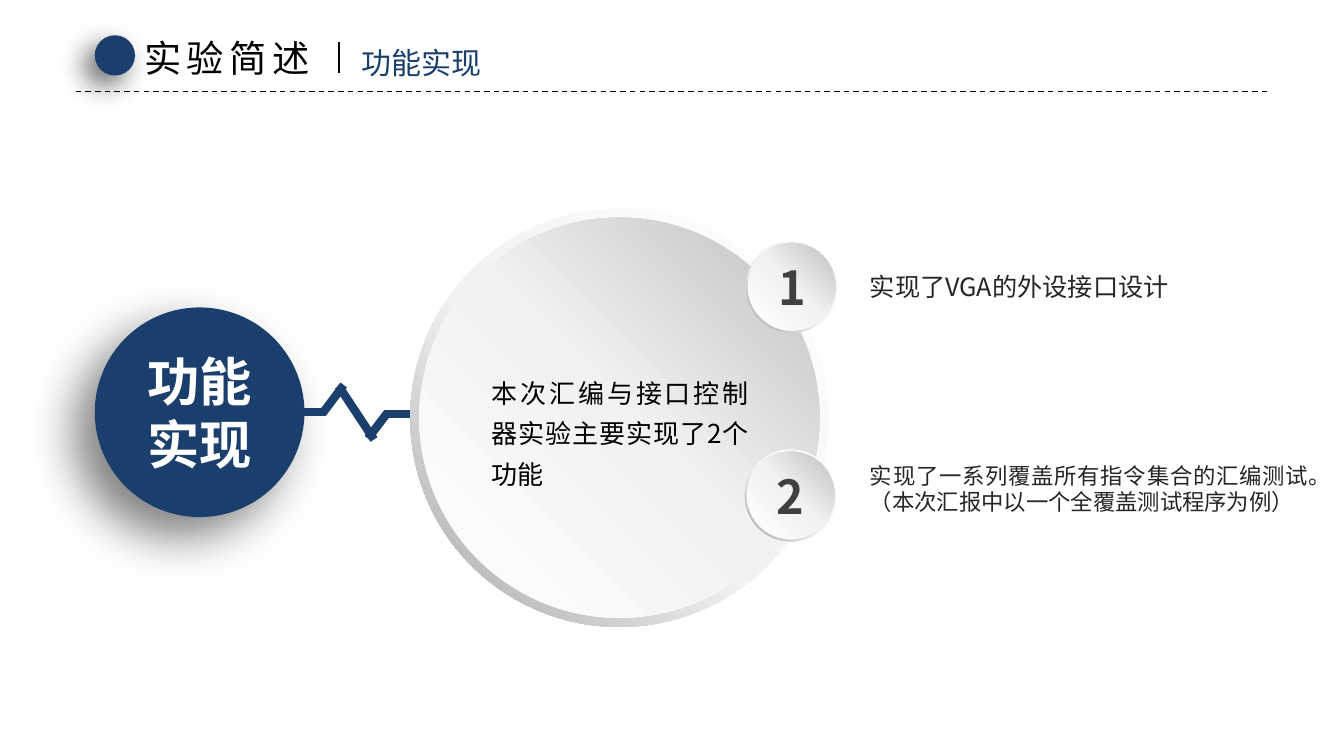
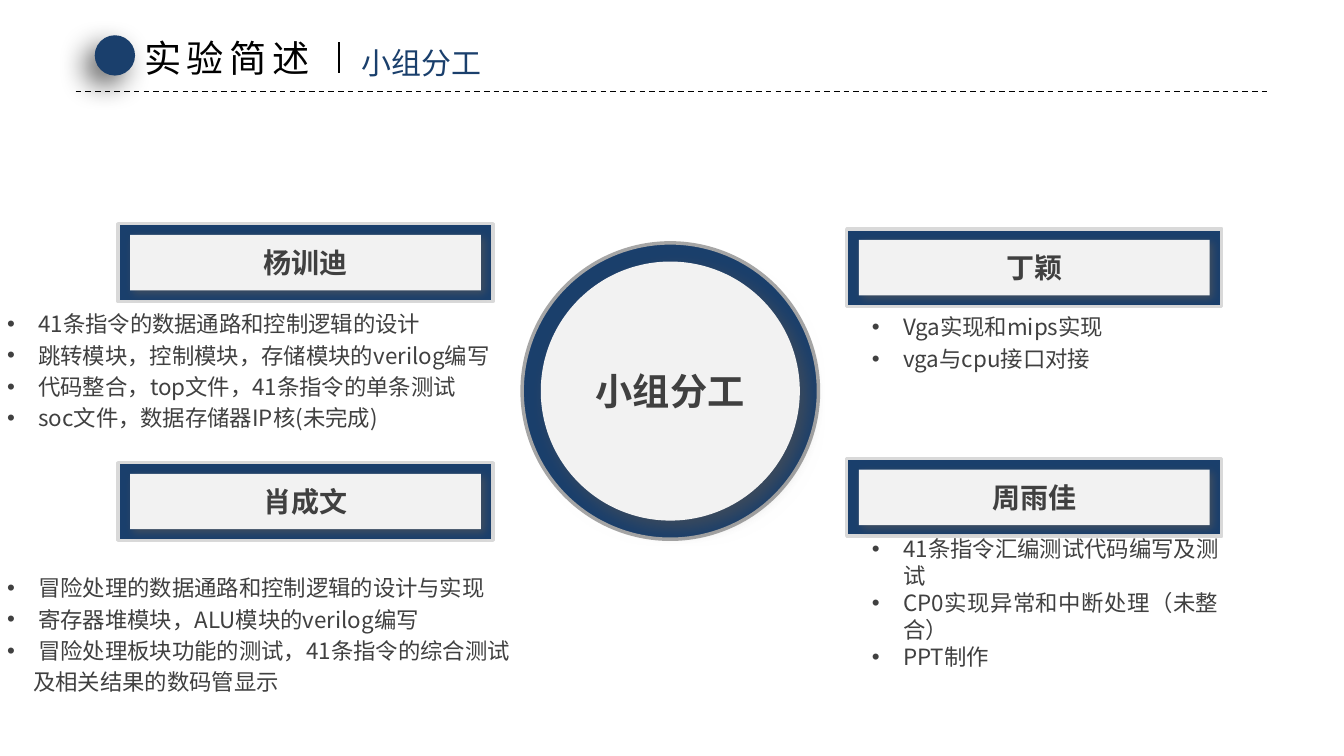
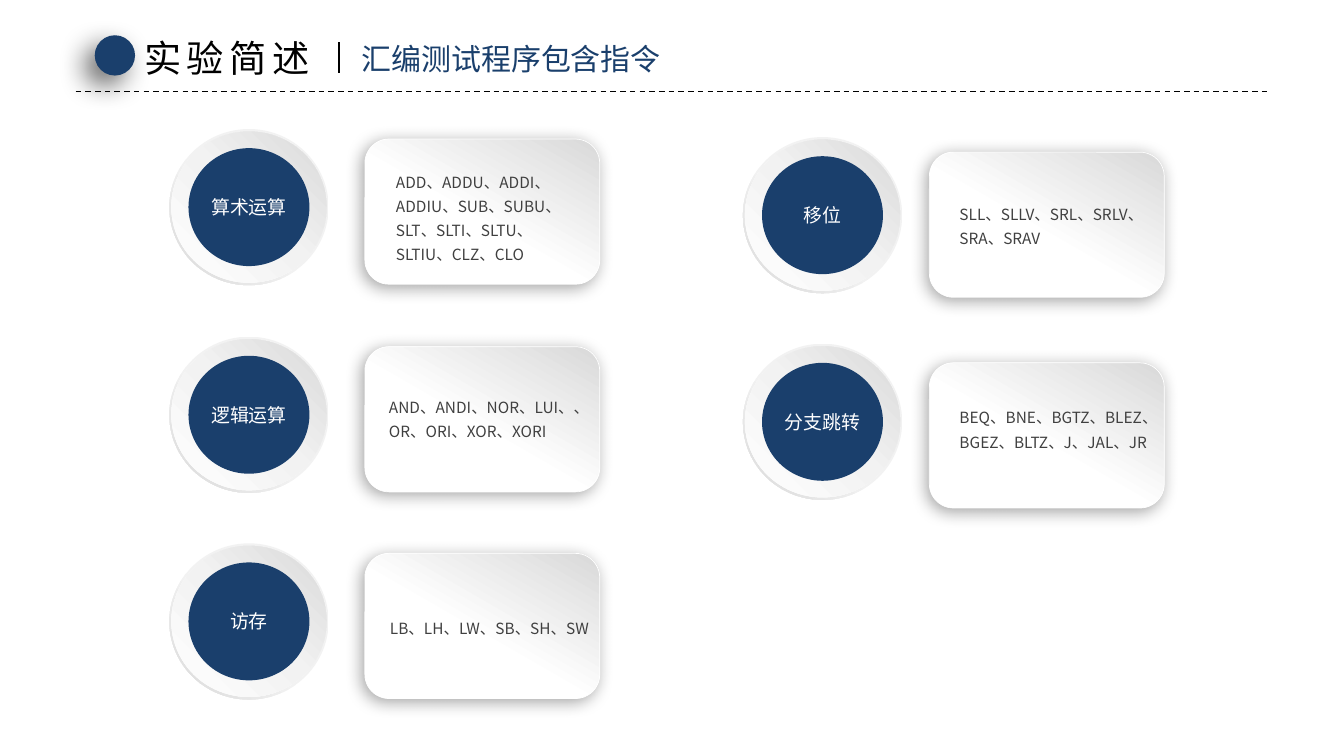
from dataclasses import dataclass

from lxml.etree import SubElement
from pptx import Presentation
from pptx.dml.color import RGBColor
from pptx.enum.dml import MSO_LINE
from pptx.enum.shapes import MSO_CONNECTOR, MSO_SHAPE
from pptx.enum.text import MSO_ANCHOR, MSO_AUTO_SIZE, PP_ALIGN
from pptx.oxml import parse_xml
from pptx.oxml.ns import nsdecls, qn
from pptx.util import Inches, Pt


@dataclass(frozen=True)
class Theme:
    font: str = "Noto Sans CJK SC"
    navy: str = "1A3F6C"
    black: str = "000000"
    white: str = "FFFFFF"
    ink: str = "262626"
    grey: str = "404040"
    pale: str = "F2F2F2"
    bar_edge: str = "D9D9D9"
    hub_edge: str = "A6A6A6"
    title: float = 26.6
    subtitle: float = 21.4
    hero: float = 37.4
    badge: float = 33.4
    name: float = 20
    lead: float = 18.6
    point: float = 18
    body: float = 16
    label: float = 13.5
    code: float = 11
    # Gradients: stops as (percent, colour), then the angle
    rim: tuple = (((0, "FFFFFF"), (55, "F2F2F2"), (100, "A6A6A6")), 135)
    face: tuple = (((0, "FFFFFF"), (51, "F2F2F2"), (100, "BFBFBF")), 315)
    soft_rim: tuple = (((0, "F2F2F2"), (55, "F2F2F2"), (100, "D9D9D9")), 135)
    soft_face: tuple = (((0, "FFFFFF"), (51, "F2F2F2"), (100, "D9D9D9")), 315)
    card: tuple = (((45, "FFFFFF"), (100, "D9D9D9")), 300)
    # Shadows: colour, opacity, blur, distance, direction
    dot_shadow: tuple = ("000000", 60, 20, 10, 135)
    hero_shadow: tuple = ("000000", 50, 35, 20, 135)
    bar_shadow: tuple = ("595959", 64, 6, 3, 45)
    hub_shadow: tuple = ("525252", 64, 13, 7, 45)
    card_shadow: tuple = ("000000", 34, 12, 3, 135)


THEME = Theme()
COLUMNS, ROWS = 133.33, 75  # the slide as a grid of square cells
CELL = 0.1


@dataclass(frozen=True)
class Box:
    """A region of the slide, in grid cells."""
    left: float
    top: float
    width: float
    height: float

    def inset(self, across, down=None):
        down = across if down is None else down
        return Box(self.left + across, self.top + down,
                   self.width - 2 * across, self.height - 2 * down)

    def area(self, left, top, width, height):
        return Box(self.left + left, self.top + top, width, height)

    def lengths(self):
        return [cells(n) for n in (self.left, self.top, self.width, self.height)]


def cells(count):
    return Inches(count * CELL)


def color(code):
    return RGBColor.from_string(code)


# Text
def write(holder, text, *, size, ink, bold=False, align=PP_ALIGN.LEFT,
          anchor=MSO_ANCHOR.TOP, insets=(0, 0), wrap=True, spacing=0,
          line_spacing=1.0, before=0, bullet=False, indents=None):
    """Fill a shape with text, one paragraph for each line."""
    frame = holder.text_frame
    frame.word_wrap = wrap
    frame.auto_size = MSO_AUTO_SIZE.NONE
    frame.vertical_anchor = anchor
    frame.margin_left = frame.margin_right = cells(insets[0])
    frame.margin_top = frame.margin_bottom = cells(insets[1])
    for index, line in enumerate(text.split("\n")):
        paragraph = frame.paragraphs[0] if index == 0 else frame.add_paragraph()
        paragraph.alignment = align
        paragraph.line_spacing = line_spacing
        paragraph.space_before = Pt(before)
        plain_indent = (indents or {}).get(index)
        set_bullet(paragraph, bullet and plain_indent is None, plain_indent or 0)
        run = paragraph.add_run()
        run.text = line
        font = run.font
        font.size, font.bold, font.name = Pt(size), bold, THEME.font
        font.color.rgb = color(ink)
        properties = run._r.get_or_add_rPr()
        SubElement(properties, qn("a:ea")).set("typeface", THEME.font)
        if spacing:
            properties.set("spc", str(spacing * 100))


def set_bullet(paragraph, bullet, indent):
    properties = paragraph._p.get_or_add_pPr()
    hang = 3.1 if bullet else 0
    properties.set("marL", str(cells(hang + indent)))
    properties.set("indent", str(cells(-hang)))
    if bullet:
        SubElement(properties, qn("a:buFont")).set("typeface", "Arial")
        SubElement(properties, qn("a:buChar")).set("char", "•")
    else:
        SubElement(properties, qn("a:buNone"))


def add_text(slide, box, text, **text_format):
    write(slide.shapes.add_textbox(*box.lengths()), text, **text_format)


def place(placeholder, box, text, **text_format):
    placeholder.left, placeholder.top, placeholder.width, placeholder.height = box.lengths()
    write(placeholder, text, **text_format)


# Shapes and lines
def add_figure(slide, kind, box, fill, *, edge=None, edge_width=2.5,
               shadow=None, adjust=None):
    """Draw a preset shape; fill is a colour or a gradient."""
    shape = slide.shapes.add_shape(kind, *box.lengths())
    if adjust is not None:
        shape.adjustments[0] = adjust
    if isinstance(fill, str):
        shape.fill.solid()
        shape.fill.fore_color.rgb = color(fill)
    else:
        set_gradient(shape, *fill)
    if edge:
        shape.line.color.rgb = color(edge)
        shape.line.width = Pt(edge_width)
    else:
        shape.line.fill.background()
    shape.shadow.inherit = False
    if shadow:
        set_shadow(shape, *shadow)
    return shape


def set_gradient(shape, stops, angle):
    shape.fill.background()
    properties = shape._element.spPr
    marks = "".join(f'<a:gs pos="{position * 1000}"><a:srgbClr val="{code}"/></a:gs>'
                    for position, code in stops)
    gradient = parse_xml(f'<a:gradFill {nsdecls("a")} rotWithShape="1"><a:gsLst>{marks}'
                         f'</a:gsLst><a:lin ang="{angle * 60000}" scaled="0"/></a:gradFill>')
    properties.replace(properties.find(qn("a:noFill")), gradient)


def set_shadow(shape, code, opacity, blur, distance, direction):
    effects = shape._element.spPr.find(qn("a:effectLst"))
    effects.append(parse_xml(
        f'<a:outerShdw {nsdecls("a")} blurRad="{Pt(blur)}" dist="{Pt(distance)}" '
        f'dir="{direction * 60000}" algn="ctr" rotWithShape="0"><a:srgbClr val="{code}">'
        f'<a:alpha val="{opacity * 1000}"/></a:srgbClr></a:outerShdw>'))


def add_line(slide, start, end, ink, width, dash=None):
    line = slide.shapes.add_connector(MSO_CONNECTOR.STRAIGHT,
                                      *[cells(n) for n in (*start, *end)])
    line.line.color.rgb = color(ink)
    line.line.width = Pt(width)
    if dash:
        line.line.dash_style = dash
    SubElement(line._element.spPr, qn("a:effectLst"))


def add_raised_disc(slide, box, rim, face, across, down=None):
    """A ring with a shaded face; returns the face."""
    add_figure(slide, MSO_SHAPE.DONUT, box, rim, adjust=0.049)
    return add_figure(slide, MSO_SHAPE.OVAL, box.inset(across, down), face)


# Header shared by all slides
def add_header(slide, subtitle, subtitle_top=3.9):
    add_line(slide, (7.5, 9.1), (125.8, 9.1), THEME.black, 1, MSO_LINE.DASH)
    add_figure(slide, MSO_SHAPE.OVAL, Box(9.4, 3.5, 4, 4), THEME.navy,
               shadow=THEME.dot_shadow)
    place(slide.shapes.title, Box(13.3, 3, 19.2, 5.5), "实验简述", size=THEME.title,
          ink=THEME.black, spacing=4, insets=(1, 0.5), wrap=False)
    add_text(slide, Box(34.9, subtitle_top, 2 + 3 * len(subtitle), 4.6), subtitle,
             size=THEME.subtitle, ink=THEME.navy, insets=(1, 0.5), wrap=False)
    add_line(slide, (33.6, 4.2), (33.6, 7.2), THEME.black, 1.5)


def new_slide(presentation, layout, subtitle, **header):
    """Add a slide with its header; returns it and its body placeholders."""
    slide = presentation.slides.add_slide(presentation.slide_layouts.get_by_name(layout))
    bodies = list(slide.placeholders)[1:]
    add_header(slide, subtitle, **header)
    return slide, bodies


# Slide 1: functions
def add_pulse(slide, box):
    strokes = [((0, 2.7), (6.6, 2.7)), ((12.4, 2.9), (17.9, 2.9)),
               ((6.3, 2.8), (8.4, 0)), ((10.8, 5.3), (12.7, 2.8)),
               ((11.4, 5.4), (7.9, 0.1))]
    for stroke in strokes:
        start, end = [(box.left + x, box.top + y) for x, y in stroke]
        add_line(slide, start, end, THEME.navy, 6)


def build_functions(presentation):
    slide, bodies = new_slide(presentation, "Two Content", "功能实现")
    hero = add_figure(slide, MSO_SHAPE.OVAL, Box(9.4, 30.5, 20.8, 20.8), THEME.navy,
                      shadow=THEME.hero_shadow)
    add_pulse(slide, Box(25.7, 38.2, 17.9, 5.4))
    write(hero, "功能\n实现", size=THEME.hero, ink=THEME.white, bold=True, wrap=False,
          align=PP_ALIGN.CENTER, anchor=MSO_ANCHOR.MIDDLE, insets=(0, 0.5))

    plate = Box(40.7, 20.7, 41.5, 41.5)
    add_raised_disc(slide, plate, THEME.rim, THEME.face, 0.9)
    add_text(slide, plate.area(8.1, 15.8, 25.5, 12.2),
             "本次汇编与接口控制器实验主要实现了2个功能", size=THEME.lead,
             ink=THEME.black, align=PP_ALIGN.JUSTIFY, line_spacing=1.3)

    points = [
        (Box(74, 23.9, 9.1, 9.1), Box(86.3, 26.9, 41.6, 3), THEME.point,
         "实现了VGA的外设接口设计"),
        (Box(73.9, 44.6, 9.1, 9.1), Box(86.3, 45.8, 45.8, 5.4), THEME.body,
         "实现了一系列覆盖所有指令集合的汇编测试。（本次汇报中以一个全覆盖测试程序为例）"),
    ]
    for number, (body, (disc, area, size, text)) in enumerate(zip(bodies, points), 1):
        face = add_raised_disc(slide, disc, THEME.rim, THEME.face, 0.2)
        write(face, str(number), size=THEME.badge, ink=THEME.grey, bold=True,
              align=PP_ALIGN.CENTER, anchor=MSO_ANCHOR.MIDDLE)
        place(body, area, text, size=size, ink=THEME.ink, align=PP_ALIGN.JUSTIFY)


# Slide 2: division of work
def add_framed(slide, kind, box, text, size, *, across, down, edge, shadow, adjust=None):
    """A navy frame around a pale panel that holds the text."""
    add_figure(slide, kind, box, THEME.navy, edge=edge, adjust=adjust)
    panel = add_figure(slide, kind, box.inset(across, down), THEME.pale,
                       shadow=shadow, adjust=adjust)
    write(panel, text, size=size, ink=THEME.grey, bold=True,
          align=PP_ALIGN.CENTER, anchor=MSO_ANCHOR.MIDDLE)


def build_division(presentation):
    slide, bodies = new_slide(presentation, "Comparison", "小组分工")
    add_framed(slide, MSO_SHAPE.OVAL, Box(51.8, 24.1, 29.4, 29.4), "小组分工", THEME.title,
               across=1.85, down=1.85, edge=THEME.hub_edge, shadow=THEME.hub_shadow)
    spaced = {"before": 3.2}
    members = [
        ("杨训迪", (11.7, 22.2), Box(0.7, 29.8, 51, 14), spaced,
         "41条指令的数据通路和控制逻辑的设计\n跳转模块，控制模块，存储模块的verilog编写\n"
         "代码整合，top文件，41条指令的单条测试\nsoc文件，数据存储器IP核(未完成)"),
        ("肖成文", (11.7, 45.9), Box(0.7, 56, 51.6, 14), {**spaced, "indents": {3: 2.6}},
         "冒险处理的数据通路和控制逻辑的设计与实现\n寄存器堆模块，ALU模块的verilog编写\n"
         "冒险处理板块功能的测试，41条指令的综合测试\n及相关结果的数码管显示"),
        ("丁颖", (84, 22.7), Box(86.5, 30, 34.4, 8), spaced,
         "Vga实现和mips实现\nvga与cpu接口对接"),
        ("周雨佳", (84, 45.5), Box(86.5, 52.6, 34.4, 14.4), {"align": PP_ALIGN.JUSTIFY},
         "41条指令汇编测试代码编写及测试\nCP0实现异常和中断处理（未整合）\nPPT制作"),
    ]
    for body, (name, corner, area, list_format, tasks) in zip(bodies, members):
        add_framed(slide, MSO_SHAPE.ROUNDED_RECTANGLE, Box(*corner, 37.2, 7.7), name,
                   THEME.name, across=1.2, down=1.1, edge=THEME.bar_edge,
                   shadow=THEME.bar_shadow, adjust=0)
        place(body, area, tasks, size=THEME.body, ink=THEME.grey, bullet=True,
              anchor=MSO_ANCHOR.MIDDLE, insets=(0, 0.5), **list_format)


# Slide 3: instruction groups
def add_instruction_group(slide, disc, card, label, codes, code_area):
    add_figure(slide, MSO_SHAPE.ROUNDED_RECTANGLE, card, THEME.card, edge=THEME.white,
               edge_width=0.5, shadow=THEME.card_shadow)
    add_text(slide, card.area(*code_area), codes, size=THEME.code, ink=THEME.grey,
             line_spacing=1.3, insets=(1, 0.5))
    add_raised_disc(slide, disc, THEME.soft_rim, THEME.soft_face, 0.2, 0.25)
    core = add_figure(slide, MSO_SHAPE.OVAL, disc.inset(1.9), THEME.navy)
    write(core, label, size=THEME.label, ink=THEME.white, wrap=False,
          align=PP_ALIGN.CENTER, anchor=MSO_ANCHOR.MIDDLE, insets=(0, 0.5))


def build_instructions(presentation):
    slide, _ = new_slide(presentation, "Title Only", "汇编测试程序包含指令", subtitle_top=3.5)
    # Left edges of disc and card, their tops, label, codes, place of the codes in the card
    left, right = (16.8, 36.2), (73.7, 92.2)
    groups = [
        (left, (12.8, 13.8), "算术运算",
         "ADD、ADDU、ADDI、ADDIU、SUB、SUBU、SLT、SLTI、SLTU、SLTIU、CLZ、CLO",
         (2.1, 2.3, 20.5, 10.6)),
        (left, (33.4, 34.4), "逻辑运算", "AND、ANDI、NOR、LUI、、OR、ORI、XOR、XORI",
         (1.4, 4.1, 21.9, 8)),
        (left, (53.9, 54.9), "访存", "LB、LH、LW、SB、SH、SW", (1.5, 5.5, 21.9, 5.7)),
        (right, (13.6, 15.1), "移位", "SLL、SLLV、SRL、SRLV、SRA、SRAV",
         (2, 4.2, 21.9, 5.7)),
        (right, (34.1, 36), "分支跳转", "BEQ、BNE、BGTZ、BLEZ、BGEZ、BLTZ、J、JAL、JR",
         (2, 3.5, 21.9, 8)),
    ]
    for (disc_left, card_left), (disc_top, card_top), label, codes, code_area in groups:
        add_instruction_group(slide, Box(disc_left, disc_top, 15.8, 15.5),
                              Box(card_left, card_top, 23.3, 14.4), label, codes, code_area)


def main():
    presentation = Presentation()
    presentation.slide_width, presentation.slide_height = cells(COLUMNS), cells(ROWS)
    for build in (build_functions, build_division, build_instructions):
        build(presentation)
    presentation.save("out.pptx")


if __name__ == "__main__":
    main()
